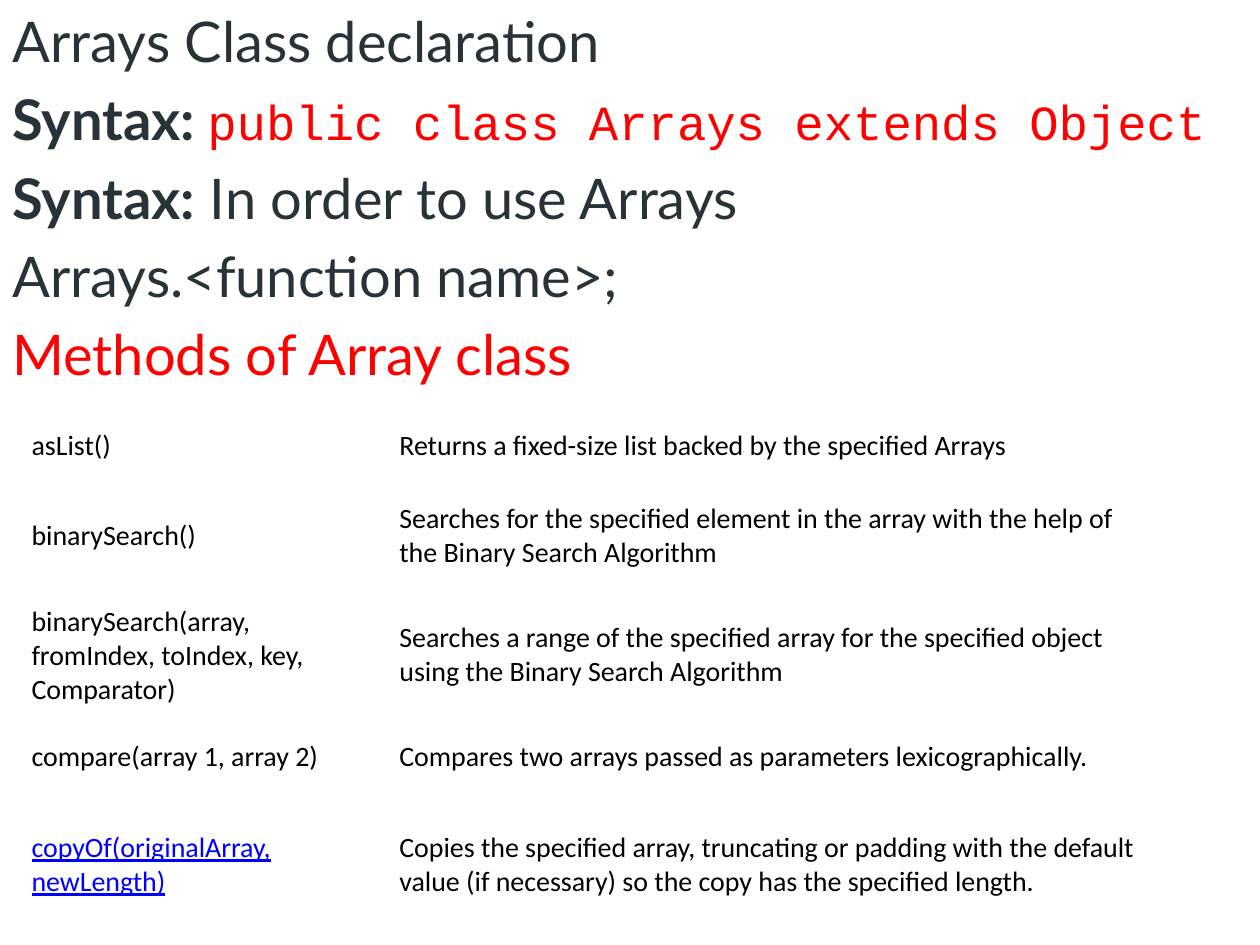
from pptx import Presentation
from pptx.dml.color import RGBColor as RGB
from pptx.enum.text import MSO_ANCHOR as Anchor
from pptx.util import Pt

PX = 9144  # 100 px to the inch
DARK = RGB(0x27, 0x32, 0x39)
RED = RGB(0xFF, 0, 0)
BLUE = RGB(0, 0, 0xFF)
BLACK = RGB(0, 0, 0)
WHITE = RGB(0xFF, 0xFF, 0xFF)

LABEL = ("Syntax:", dict(bold=True))
LINES = [
    [("Arrays Class declaration", {})],
    [LABEL, (" ", dict(size=28, bold=True)),
     ("public class Arrays extends Object",
      dict(size=28, font="Courier New", color=RED))],
    [LABEL, (" In order to use Arrays", {})],
    [("Arrays.<function name>;", {})],
    [("Methods of Array class", dict(color=RED))],
]

COLS = [292, 608]
HIGHS = [58, 85, 85, 58, 113]
LINK = dict(color=BLUE, underline=True)
METHODS = [
    ("asList()", "Returns a fixed-size list backed by the specified Arrays", {}),
    ("binarySearch()",
     "Searches for the specified element in the array with the help of "
     "the Binary Search Algorithm", {}),
    ("binarySearch(array, fromIndex, toIndex, key, Comparator)",
     "Searches a range of the specified array for the specified object "
     "using the Binary Search Algorithm", {}),
    ("compare(array 1, array 2)",
     "Compares two arrays passed as parameters lexicographically.", {}),
    ("copyOf(originalArray, newLength)",
     "Copies the specified array, truncating or padding with the default "
     "value (if necessary) so the copy has the specified length.", LINK),
]


def put(para, text, size=32, font="Lato", color=DARK, bold=False,
        underline=False):
    run = para.add_run()
    run.text = text
    style = run.font
    style.size, style.name = Pt(size), font
    style.bold, style.underline = bold, underline
    style.color.rgb = color


def intro(slide, x, y, w, h):
    box = slide.shapes.add_textbox(x * PX, y * PX, w * PX, h * PX)
    frame = box.text_frame
    frame.word_wrap = True
    for i, line in enumerate(LINES):
        para = frame.add_paragraph() if i else frame.paragraphs[0]
        para.space_before = Pt(6.4 if i else 0)
        for text, style in line:
            put(para, text, **style)


def fill(cell, text, **style):
    cell.fill.solid()
    cell.fill.fore_color.rgb = WHITE
    cell.vertical_anchor = Anchor.MIDDLE
    cell.margin_left = cell.margin_right = 8 * PX
    cell.margin_top = cell.margin_bottom = 12 * PX
    put(cell.text_frame.paragraphs[0], text,
        **{"size": 16, "font": "Calibri", "color": BLACK, **style})


def methods(slide, x, y):
    grid = slide.shapes.add_table(
        len(HIGHS), len(COLS), x * PX, y * PX,
        sum(COLS) * PX, sum(HIGHS) * PX).table
    grid.first_row = grid.horz_banding = False
    for col, wide in zip(grid.columns, COLS):
        col.width = wide * PX
    for row, high, (name, about, style) in zip(grid.rows, HIGHS, METHODS):
        row.height = high * PX
        fill(row.cells[0], name, **style)
        fill(row.cells[1], about)


def main():
    deck = Presentation()
    deck.slide_width, deck.slide_height = 1000 * PX, 750 * PX
    slide = deck.slides.add_slide(deck.slide_layouts[6])
    # Class declaration and syntax
    intro(slide, 0, 0, 1000, 750)
    # Table of methods
    methods(slide, 17, 325)
    deck.save("out.pptx")


if __name__ == "__main__":
    main()
